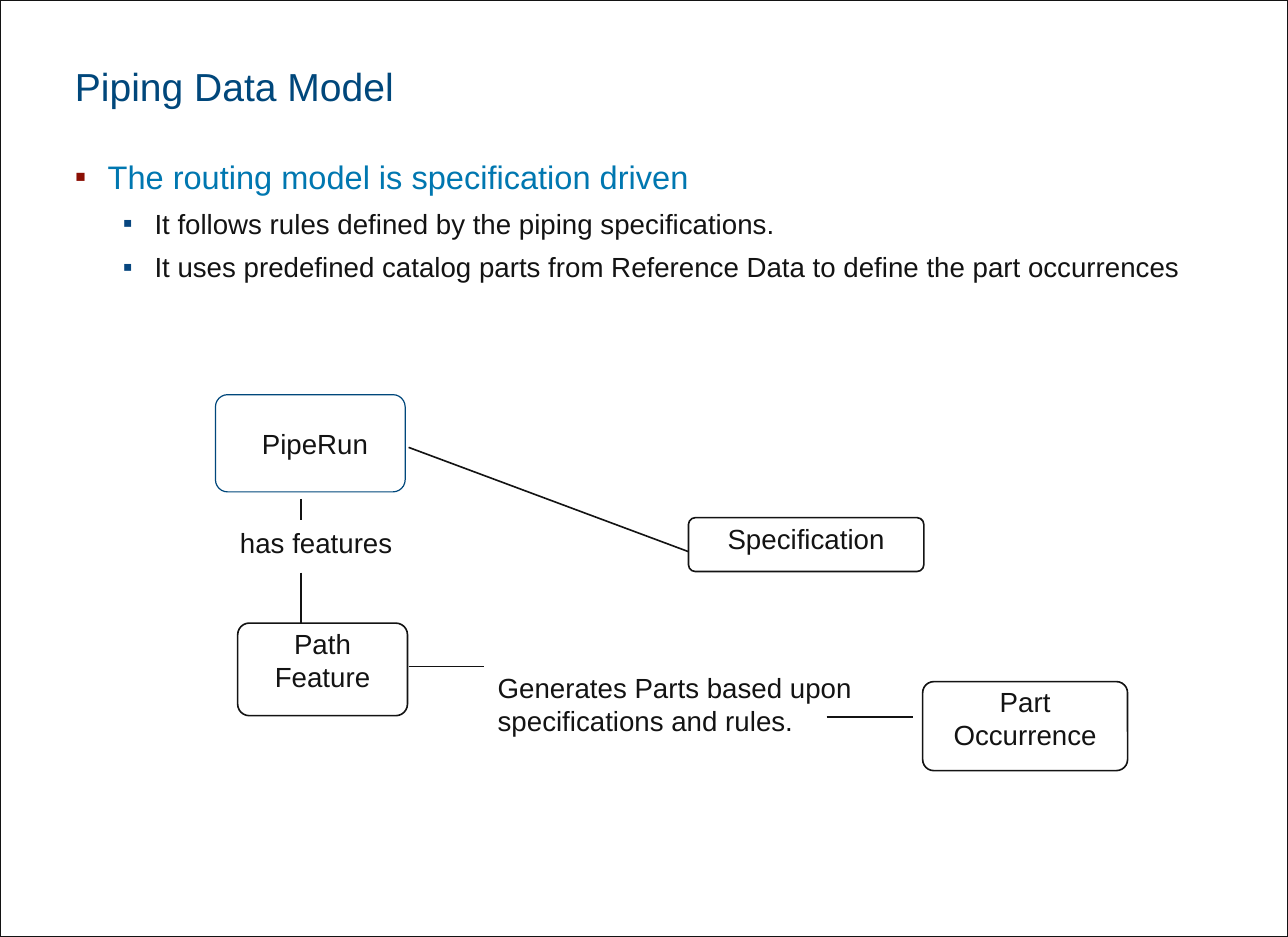
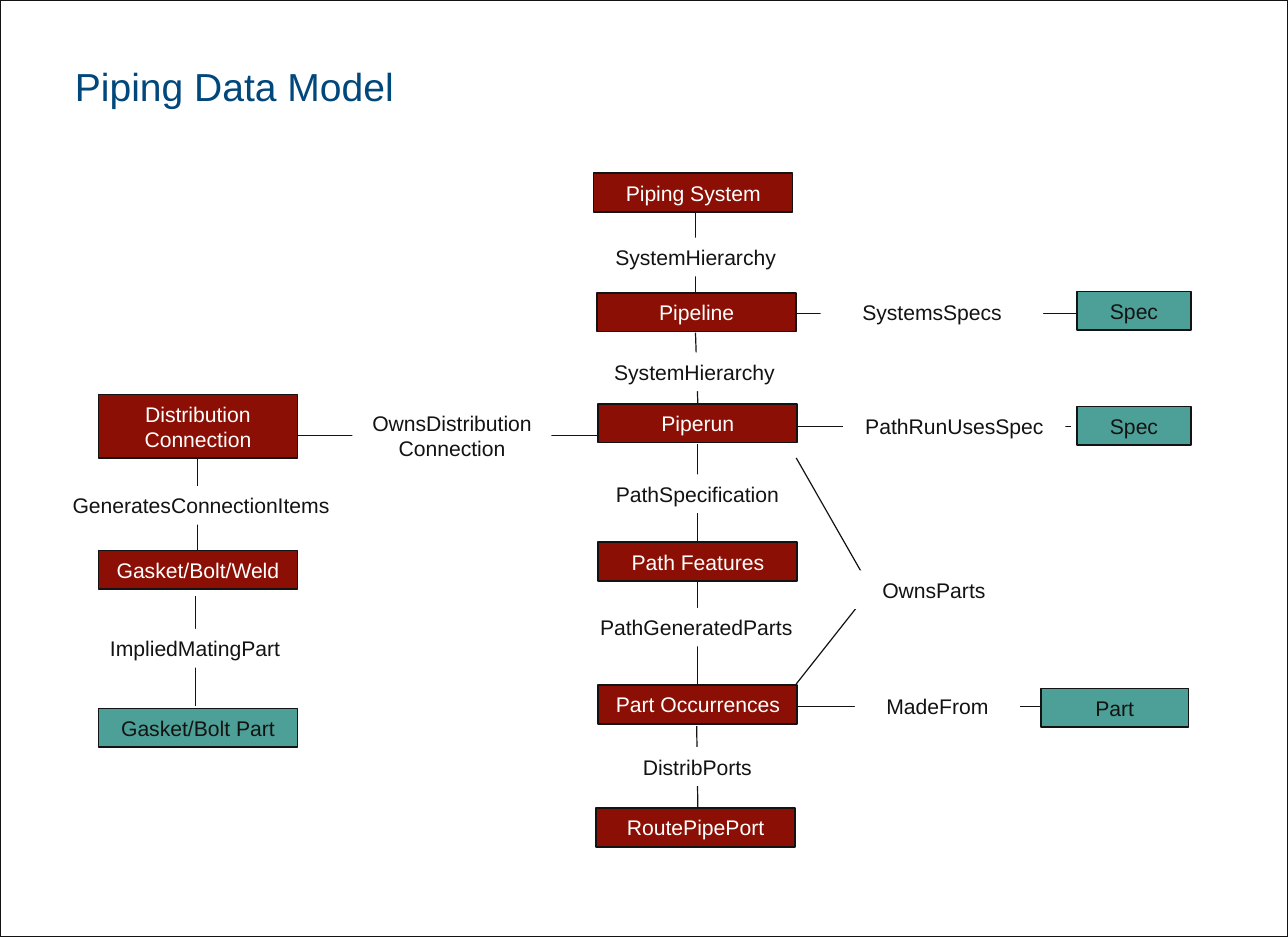
from lxml import etree
from pptx import Presentation
from pptx.dml.color import RGBColor
from pptx.enum.shapes import MSO_CONNECTOR, MSO_SHAPE
from pptx.enum.text import MSO_ANCHOR, PP_ALIGN
from pptx.oxml.ns import qn
from pptx.util import Inches, Pt

RECTANGLE, ROUNDED = MSO_SHAPE.RECTANGLE, MSO_SHAPE.ROUNDED_RECTANGLE
STRAIGHT = MSO_CONNECTOR.STRAIGHT
TOP, MIDDLE, BOTTOM = MSO_ANCHOR.TOP, MSO_ANCHOR.MIDDLE, MSO_ANCHOR.BOTTOM
LEFT, CENTER = PP_ALIGN.LEFT, PP_ALIGN.CENTER

INK, WHITE = "131313", "FFFFFF"
NAVY, BLUE = "00477B", "0077B0"
RED, TEAL, BULLET_NAVY = "8B0F04", "4DA097", "07467F"
FONT = "Arial"
PADDING = (0.11, 0.05, 0.11, 0.05)


def color(value):
    return RGBColor.from_string(value)


def add_bullet(paragraph, bullet_color, margin, hanging):
    properties = paragraph._p.get_or_add_pPr()
    properties.set("marL", str(Inches(margin)))
    properties.set("indent", str(-Inches(hanging)))
    holder = etree.SubElement(properties, qn("a:buClr"))
    etree.SubElement(holder, qn("a:srgbClr"), val=bullet_color)
    etree.SubElement(properties, qn("a:buFont"), typeface=FONT)
    etree.SubElement(properties, qn("a:buChar"), char="▪")


def write(paragraph, text, size=17, text_color=INK, align=LEFT, after=0, bullet=None):
    if bullet:
        add_bullet(paragraph, *bullet)
    paragraph.alignment = align
    paragraph.space_after = Pt(after)
    run = paragraph.add_run()
    run.text = text
    run.font.name = FONT
    run.font.size = Pt(size)
    run.font.color.rgb = color(text_color)


class Deck:
    def __init__(self):
        self.presentation = Presentation()
        self.presentation.slide_width = Inches(11)
        self.presentation.slide_height = Inches(8)
        self.slide = None

    def add_slide(self, title):
        self.slide = self.presentation.slides.add_slide(self.presentation.slide_layouts[6])
        self.box((0, 0, 11, 8), fill=WHITE, line=INK, weight=0.75)
        self.text((0.64, 0.14, 6.67, 0.79), [(title, dict(size=24, text_color=NAVY))],
                  anchor=BOTTOM, padding=(0, 0, 0, 0))

    def fill_frame(self, frame, lines, anchor, padding):
        frame.word_wrap = True
        frame.vertical_anchor = anchor
        (frame.margin_left, frame.margin_top,
         frame.margin_right, frame.margin_bottom) = [Inches(side) for side in padding]
        for index, (text, style) in enumerate(lines):
            paragraph = frame.add_paragraph() if index else frame.paragraphs[0]
            write(paragraph, text, **style)

    def text(self, place, lines, anchor=TOP, padding=PADDING):
        shape = self.slide.shapes.add_textbox(*[Inches(length) for length in place])
        self.fill_frame(shape.text_frame, lines, anchor, padding)

    def box(self, place, lines=(), kind=RECTANGLE, fill=None, line=None, weight=1,
            anchor=MIDDLE, padding=PADDING):
        shape = self.slide.shapes.add_shape(kind, *[Inches(length) for length in place])
        shape.shadow.inherit = False
        if kind == ROUNDED:
            shape.adjustments[0] = 0.125
        if fill:
            shape.fill.solid()
            shape.fill.fore_color.rgb = color(fill)
        else:
            shape.fill.background()
        if line:
            shape.line.color.rgb = color(line)
            shape.line.width = Pt(weight)
        else:
            shape.line.fill.background()
        if lines:
            self.fill_frame(shape.text_frame, lines, anchor, padding)

    def node(self, text, place, fill=WHITE, line=None, text_color=INK):
        style = dict(size=13, text_color=text_color, align=CENTER)
        self.box(place, [(text, style)], fill=fill, line=line)

    def line(self, ends, weight):
        connector = self.slide.shapes.add_connector(STRAIGHT, *[Inches(end) for end in ends])
        connector.line.color.rgb = color(INK)
        connector.line.width = Pt(weight)
        etree.SubElement(connector._element.spPr, qn("a:effectLst"))


def routing_slide(deck):
    deck.add_slide("Piping Data Model")
    detail = dict(after=6.5, bullet=(BULLET_NAVY, 0.68, 0.27))
    deck.text((0.64, 1.34, 9.57, 1.3), [
        ("The routing model is specification driven",
         dict(size=20, text_color=BLUE, after=6.5, bullet=(RED, 0.28, 0.28))),
        ("It follows rules defined by the piping specifications.", detail),
        ("It uses predefined catalog parts from Reference Data to define the part occurrences",
         detail),
    ], padding=(0, 0, 0, 0))

    centered = dict(align=CENTER)
    deck.box((1.84, 3.37, 1.62, 0.83), [("PipeRun", centered)], kind=ROUNDED,
             line=NAVY, weight=0.75, padding=(0.08, 0, 0, 0))
    for place, words, top in [
        ((2.03, 5.32, 1.45, 0.79), ["Path", "Feature"], 0),
        ((7.88, 5.82, 1.75, 0.76), ["Part", "Occurrence"], 0),
        ((5.88, 4.42, 2.01, 0.46), ["Specification"], 0.02),
    ]:
        deck.box(place, [(word, centered) for word in words], kind=ROUNDED, line=INK,
                 anchor=TOP, padding=(0, top, 0, 0))

    deck.text((1.94, 4.44, 1.6, 0.39), [("has features", {})])
    deck.text((4.14, 5.68, 3.31, 0.68), [("Generates Parts based upon", {}),
                                         ("specifications and rules.", {})])
    for ends in [
        (2.57, 4.26, 2.57, 4.44),
        (2.57, 4.89, 2.57, 5.33),
        (3.49, 3.82, 5.88, 4.71),
        (3.49, 5.69, 4.13, 5.69),
        (7.06, 6.12, 7.8, 6.12),
    ]:
        deck.line(ends, 1)


def relations_slide(deck):
    deck.add_slide("Piping Data Model")
    row, tall = 0.33, 0.54
    for ends in [
        (5.94, 1.81, 5.94, 2.5),
        (5.94, 2.84, 5.96, 3.45),
        (5.96, 3.79, 5.96, 4.63),
        (5.96, 4.96, 5.96, 5.85),
        (5.95, 6.2, 5.96, 6.9),
        (6.79, 2.68, 9.2, 2.68),
        (6.8, 3.64, 9.15, 3.64),
        (6.8, 6.03, 8.89, 6.03),
        (6.8, 3.91, 7.44, 5.03),
        (6.8, 5.84, 7.44, 5.03),
        (2.53, 3.72, 5.1, 3.72),
        (1.69, 3.91, 1.69, 4.7),
        (1.67, 5.09, 1.67, 6.03),
    ]:
        deck.line(ends, 0.75)

    for text, left, top, height in [
        ("Piping System", 5.07, 1.48, row),
        ("Pipeline", 5.1, 2.5, row),
        ("Piperun", 5.11, 3.45, row),
        ("Path Features", 5.11, 4.63, row),
        ("Part Occurrences", 5.11, 5.85, row),
        ("RoutePipePort", 5.09, 6.9, row),
        ("Distribution Connection", 0.84, 3.37, tall),
        ("Gasket/Bolt/Weld", 0.84, 4.7, row),
    ]:
        deck.node(text, (left, top, 1.7, height), RED, INK, WHITE)

    for text, left, top, width in [
        ("Spec", 9.2, 2.49, 0.97),
        ("Spec", 9.2, 3.47, 0.97),
        ("Part", 8.89, 5.88, 1.26),
        ("Gasket/Bolt Part", 0.84, 6.05, 1.7),
    ]:
        deck.node(text, (left, top, width, row), TEAL, INK)

    for text, left, top, width, height in [
        ("SystemHierarchy", 5.09, 2.03, 1.7, row),
        ("SystemHierarchy", 5.07, 3.01, 1.72, row),
        ("PathSpecification", 5.11, 4.05, 1.69, row),
        ("PathGeneratedParts", 4.99, 5.19, 1.91, row),
        ("DistribPorts", 5.2, 6.38, 1.51, row),
        ("SystemsSpecs", 7.01, 2.5, 1.9, row),
        ("PathRunUsesSpec", 7.2, 3.47, 1.9, row),
        ("OwnsParts", 7.25, 4.87, 1.45, row),
        ("MadeFrom", 7.3, 5.86, 1.41, row),
        ("OwnsDistributionConnection", 3.01, 3.45, 1.7, tall),
        ("GeneratesConnectionItems", 0.42, 4.15, 2.59, row),
        ("ImpliedMatingPart", 0.61, 5.37, 2.11, row),
    ]:
        deck.node(text, (left, top, width, height))


def main():
    deck = Deck()
    routing_slide(deck)
    relations_slide(deck)
    deck.presentation.save("out.pptx")


if __name__ == "__main__":
    main()
